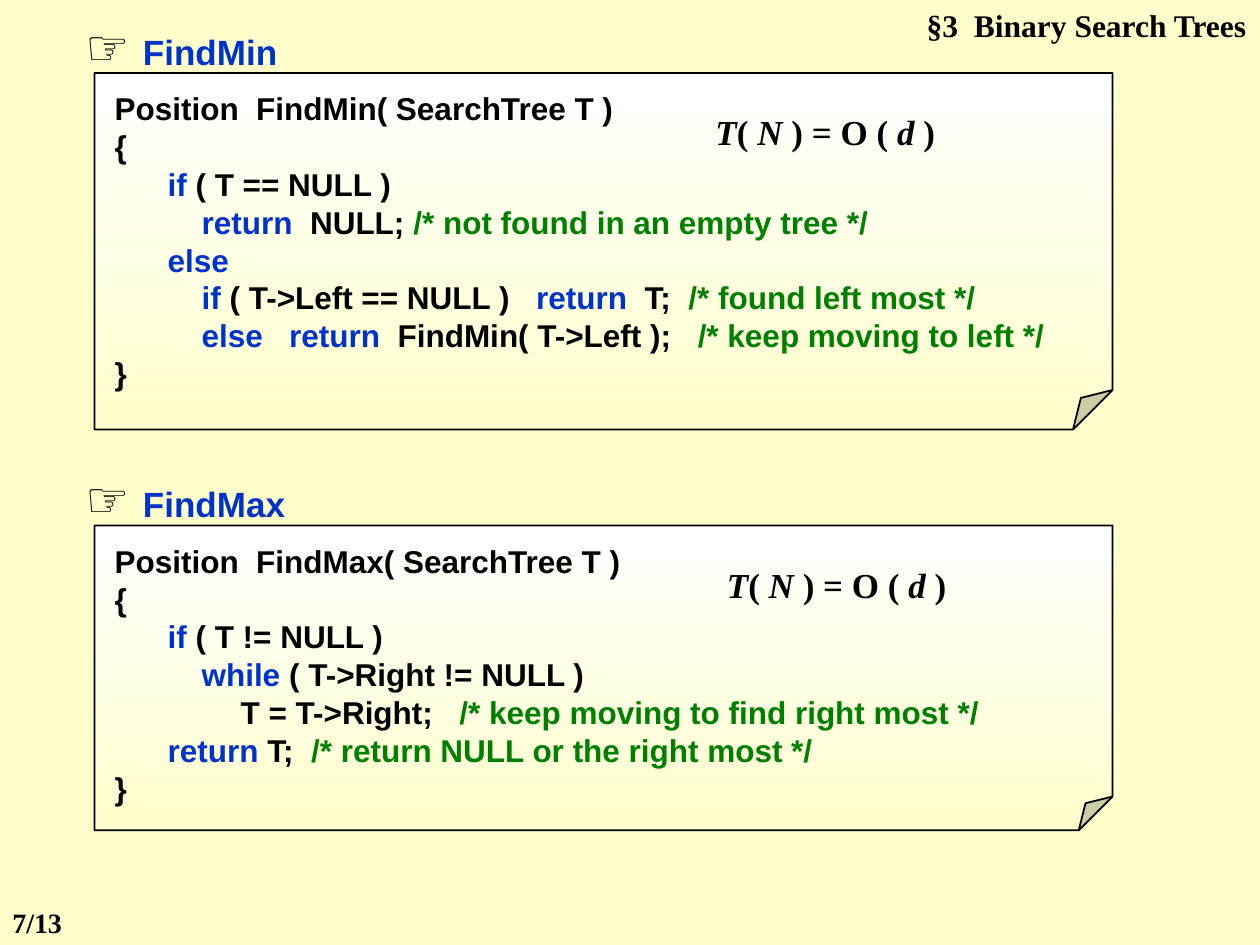
from dataclasses import dataclass
from lxml.etree import SubElement
from pptx import Presentation
from pptx.dml.color import RGBColor
from pptx.enum.shapes import MSO_SHAPE
from pptx.enum.text import MSO_ANCHOR, PP_ALIGN
from pptx.oxml.ns import qn
from pptx.util import Inches, Pt


@dataclass(frozen=True)
class Theme:
    """Colours, fonts and type sizes."""
    ink: str = "000000"
    key: str = "0033CC"
    note: str = "008000"
    paper: str = "FFFFCC"
    white: str = "FFFFFF"
    sans: str = "Arial"
    serif: str = "Times New Roman"
    hand: int = 28
    title: int = 20
    code: int = 18
    page: int = 16


LOOK = Theme()
INK, KEY, NOTE = LOOK.ink, LOOK.key, LOOK.note
STEPS = (0, 0.42, 0.69, 1)  # code indents in inches


def write(para, text, size, font, color=INK, italic=False):
    """Add one bold run to a paragraph."""
    run = para.add_run()
    run.text = text
    face = run.font
    face.name, face.size = font, Pt(size)
    face.bold, face.italic = True, italic
    face.color.rgb = RGBColor.from_string(color)


def label(slide, box):
    """Place a text box and return its first paragraph."""
    frame = slide.shapes.add_textbox(*map(Inches, box)).text_frame
    frame.word_wrap = True
    return frame.paragraphs[0]


def heading(slide, left, top, name):
    """Place a pointing hand and the name of a routine."""
    para = label(slide, (left, top, 2.42, 0.57))
    para.space_after = Pt(5)
    write(para, "☞ ", LOOK.hand, LOOK.sans)
    write(para, name, LOOK.title, LOOK.sans, KEY)


def cost(slide, left, top):
    """Place the running time formula."""
    para = label(slide, (left, top, 2.42, 0.44))
    for i, text in enumerate(("T", "( ", "N", " ) = O ( ", "d", " )")):
        write(para, text, LOOK.title, LOOK.serif, italic=i % 2 == 0)


def sheet(slide, box, lines):
    """Draw a folded sheet holding coloured lines of code."""
    page = slide.shapes.add_shape(MSO_SHAPE.FOLDED_CORNER, *map(Inches, box))
    guides = next(page._element.iter(qn("a:avLst")))
    SubElement(guides, qn("a:gd"), name="adj", fmla="val 11100")
    page.shadow.inherit = False
    page.fill.gradient()
    page.fill.gradient_angle = 270
    stops = zip(page.fill.gradient_stops, (LOOK.white, LOOK.paper))
    for i, (stop, color) in enumerate(stops):
        stop.position = i
        stop.color.rgb = RGBColor.from_string(color)
    page.line.color.rgb = RGBColor.from_string(INK)
    page.line.width = Pt(1)

    frame = page.text_frame
    frame.word_wrap = True
    frame.vertical_anchor = MSO_ANCHOR.TOP
    frame.margin_left, frame.margin_top = Inches(0.16), Inches(0.13)
    frame.margin_right, frame.margin_bottom = Inches(0.04), Inches(0.05)
    for i, (level, *parts) in enumerate(lines):
        para = frame.add_paragraph() if i else frame.paragraphs[0]
        para.alignment = PP_ALIGN.LEFT
        props = para._p.get_or_add_pPr()
        props.set("marL", str(Inches(STEPS[level])))
        props.set("indent", "0")
        for text, color in parts:
            write(para, text, LOOK.code, LOOK.sans, color)


def routine(slide, top, tall, name, shift, lines):
    """Place a heading, its code sheet and its cost."""
    heading(slide, 0.58, top - 0.5, name)
    sheet(slide, (0.75, top, 8.08, tall), lines)
    cost(slide, 5.58 + shift, top + 0.25)


def corners(slide):
    """Place the section name and the page number."""
    para = label(slide, (7, 0, 2.99, 0.4))
    para.alignment = PP_ALIGN.RIGHT
    write(para, "§3  Binary Search Trees", LOOK.code, LOOK.serif)
    para = label(slide, (0, 7.14, 0.83, 0.37))
    write(para, "7/13", LOOK.page, LOOK.serif)


FIND_MIN = (
    (0, ("Position  FindMin( SearchTree T )", INK)),
    (0, ("{", INK)),
    (1, ("if", KEY), (" ( T == NULL )", INK)),
    (2, ("return", KEY), ("  NULL; ", INK),
     ("/* not found in an empty tree */", NOTE)),
    (1, ("else", KEY)),
    (2, ("if ", KEY), ("( T->Left == NULL )   ", INK), ("return", KEY),
     ("  T;  ", INK), ("/* found left most */", NOTE)),
    (2, ("else   return", KEY), ("  FindMin( T->Left );   ", INK),
     ("/* keep moving to left */", NOTE)),
    (0, ("}", INK)),
)
FIND_MAX = (
    (0, ("Position  FindMax( SearchTree T )", INK)),
    (0, ("{", INK)),
    (1, ("if", KEY), (" ( T != NULL )", INK)),
    (2, ("while ", KEY), ("( T->Right != NULL )", INK)),
    (3, ("T = T->Right;   ", INK),
     ("/* keep moving to find right most */", NOTE)),
    (1, ("return", KEY), (" T;  ", INK),
     ("/* return NULL or the right most */", NOTE)),
    (0, ("}", INK)),
)


def main():
    """Build the slide and save it."""
    deck = Presentation()
    deck.slide_width, deck.slide_height = Inches(10), Inches(7.5)
    slide = deck.slides.add_slide(deck.slide_layouts[6])
    slide.background.fill.solid()
    slide.background.fill.fore_color.rgb = RGBColor.from_string(LOOK.paper)
    corners(slide)
    routine(slide, 0.58, 2.83, "FindMin", 0, FIND_MIN)
    routine(slide, 4.17, 2.42, "FindMax", 0.09, FIND_MAX)
    deck.save("out.pptx")


main()
